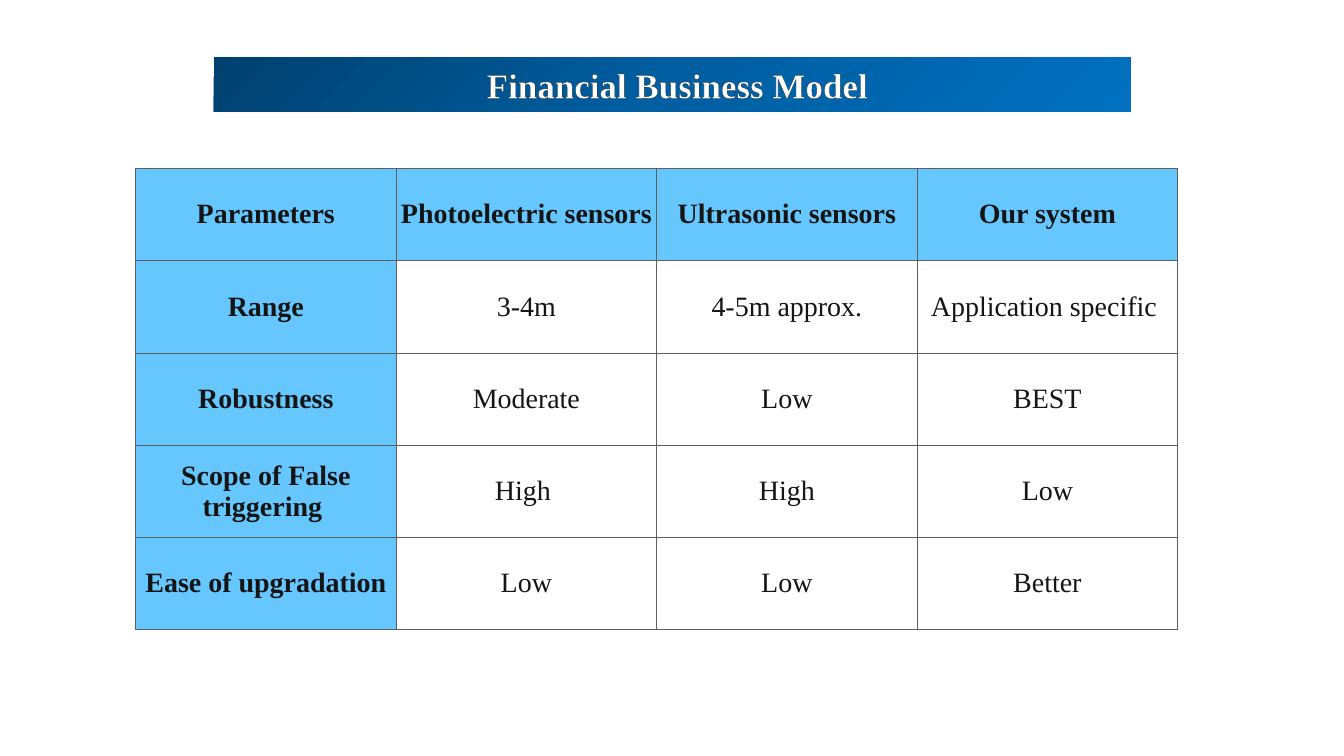
import copy

import pptx
import pptx.dml.color
import pptx.enum.shapes
import pptx.enum.text
import pptx.oxml
import pptx.oxml.ns
import pptx.util
from pptx.dml.color import RGBColor
from pptx.util import Inches

FONT = "Times New Roman"
WHITE = RGBColor(0xFF, 0xFF, 0xFF)
BLACK = RGBColor(0, 0, 0)
INK = RGBColor(0x15, 0x15, 0x15)
SKY = RGBColor(0x66, 0xC7, 0xFF)
GRID = RGBColor(0x5E, 0x5E, 0x5E)
BANNER_STOPS = [
    (0, RGBColor(0x00, 0x41, 0x6F)),
    (0.5, RGBColor(0x00, 0x5E, 0xA1)),
    (1, RGBColor(0x00, 0x70, 0xC0)),
]
COMPARISON = [
    ["Parameters", "Photoelectric sensors", "Ultrasonic sensors", "Our system"],
    ["Range", "3-4m", "4-5m approx.", "Application specific "],
    ["Robustness", "Moderate", "Low", "BEST"],
    ["Scope of False triggering ", "High ", "High", "Low"],
    ["Ease of upgradation", "Low", "Low", "Better"],
]
COL_WIDTH, ROW_HEIGHT = 5.17, 1.83


def line_xml(tag, color):
    """Return a solid one-point line element with the given tag."""
    return pptx.oxml.parse_xml(
        f'<a:{tag} {pptx.oxml.ns.nsdecls("a")} w="12700"><a:solidFill>'
        f'<a:srgbClr val="{color}"/></a:solidFill></a:{tag}>'
    )


def style_font(p, size, color, bold):
    p.font.name = FONT
    p.font.size = pptx.util.Pt(size)
    p.font.color.rgb = color
    p.font.bold = bold


def fill_gradient(fill):
    fill.gradient()
    fill.gradient_angle = 315
    first = fill.gradient_stops[0]._gs
    first.addnext(copy.deepcopy(first))
    for stop, (position, color) in zip(fill.gradient_stops, BANNER_STOPS):
        stop.position = position
        stop.color.rgb = color


def add_banner(s, title):
    group = s.shapes.add_group_shape()
    bar = group.shapes.add_shape(
        pptx.enum.shapes.MSO_SHAPE.RECTANGLE,
        Inches(4.24), Inches(1.14), Inches(18.19), Inches(1.08))
    bar.shadow.inherit = False
    bar.line.fill.background()
    fill_gradient(bar.fill)

    box = group.shapes.add_textbox(
        Inches(9.6), Inches(1.11), Inches(9.35), Inches(1.13))
    tf = box.text_frame
    tf.word_wrap = True
    tf.auto_size = pptx.enum.text.MSO_AUTO_SIZE.SHAPE_TO_FIT_TEXT
    tf.vertical_anchor = pptx.enum.text.MSO_ANCHOR.MIDDLE
    tf.margin_left = tf.margin_right = Inches(0.06)
    tf.margin_top = tf.margin_bottom = Inches(0.06)
    p = tf.paragraphs[0]
    r = p.add_run()
    r.text = title
    style_font(p, 50, WHITE, True)
    r._r.get_or_add_rPr().insert(0, line_xml("ln", BLACK))


def style_cell(cell, text, is_header):
    cell.text = text
    cell.vertical_anchor = pptx.enum.text.MSO_ANCHOR.MIDDLE
    cell.margin_left = cell.margin_right = 0
    cell.margin_top = cell.margin_bottom = 0
    p = cell.text_frame.paragraphs[0]
    p.alignment = pptx.enum.text.PP_ALIGN.CENTER
    style_font(p, 40, INK, is_header)
    if is_header:
        cell.fill.solid()
        cell.fill.fore_color.rgb = SKY
    else:
        cell.fill.background()
    tc_pr = cell._tc.get_or_add_tcPr()
    for i, tag in enumerate(("lnL", "lnR", "lnT", "lnB")):
        tc_pr.insert(i, line_xml(tag, GRID))


def add_comparison_table(s, rows):
    n_rows, n_cols = len(rows), len(rows[0])
    table = s.shapes.add_table(
        n_rows, n_cols, Inches(2.69), Inches(3.34),
        Inches(COL_WIDTH * n_cols), Inches(ROW_HEIGHT * n_rows)).table
    table.horz_banding = False
    table.first_row = False
    for column in table.columns:
        column.width = Inches(COL_WIDTH)
    for i, row in enumerate(rows):
        table.rows[i].height = Inches(ROW_HEIGHT)
        for j, text in enumerate(row):
            style_cell(table.cell(i, j), text, i == 0 or j == 0)


def main():
    prs = pptx.Presentation()
    prs.slide_width = Inches(26.67)
    prs.slide_height = Inches(15)
    s = prs.slides.add_slide(prs.slide_layouts[6])
    add_comparison_table(s, COMPARISON)
    add_banner(s, "Financial Business Model")
    prs.save("out.pptx")


if __name__ == "__main__":
    main()
